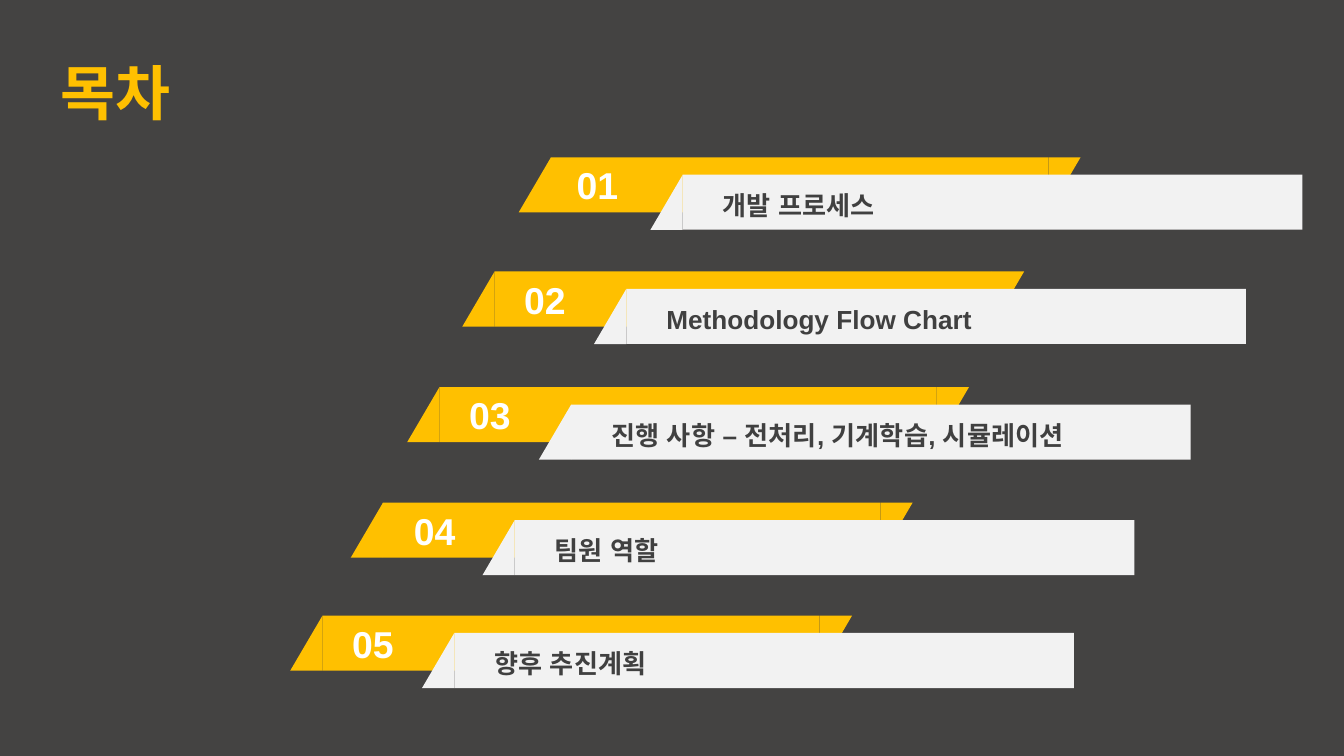
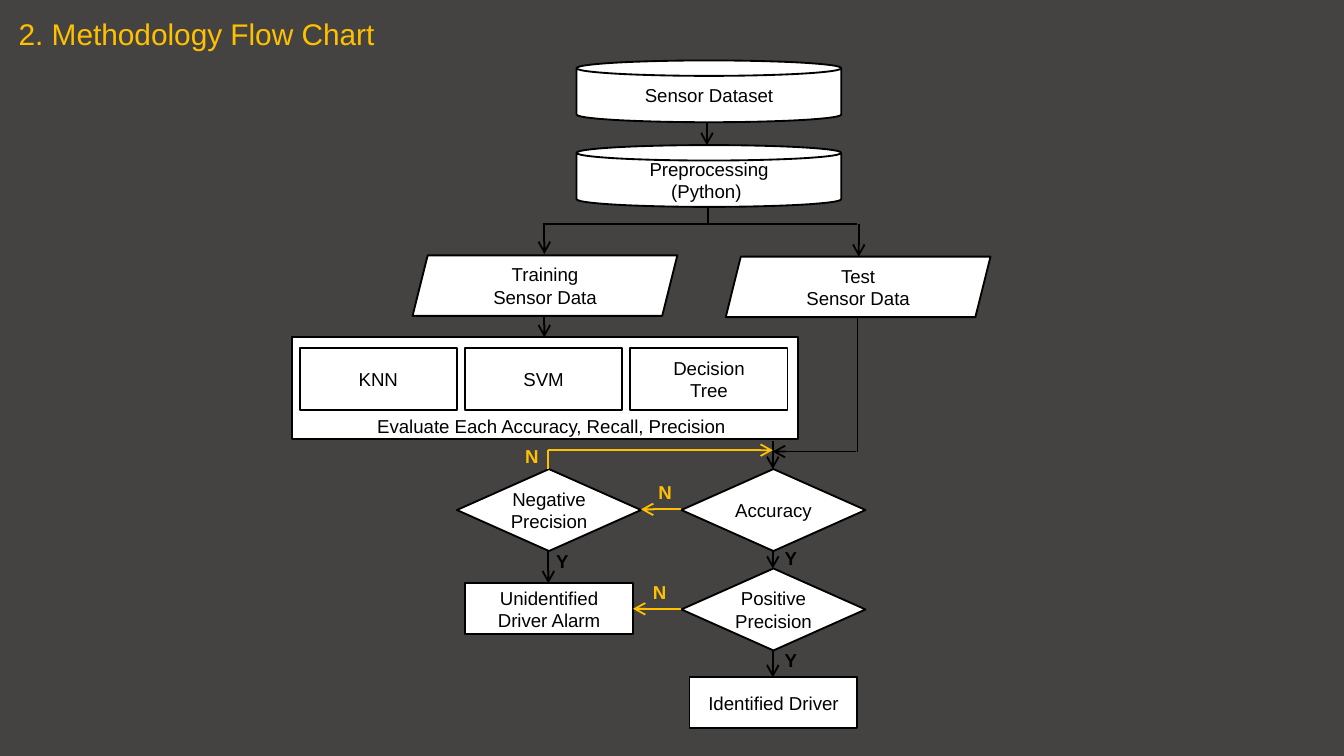
from lxml import etree
from pptx import Presentation
from pptx.dml.color import RGBColor
from pptx.enum import shapes, text
from pptx.oxml import ns
from pptx.util import Inches, Pt

DARK, GOLD, PALE, INK = "444342", "FFC000", "F2F2F2", "404040"
WHITE, BLACK = "FFFFFF", "000000"
FONT = "Arial"
SHAPE = shapes.MSO_SHAPE
MIDDLE = text.MSO_ANCHOR.MIDDLE
CENTER = text.PP_ALIGN.CENTER
LEFT = text.PP_ALIGN.LEFT

AGENDA = [
    ("01", "개발 프로세스", 4.1, 1.17, 4.11),
    ("02", "Methodology Flow Chart", 3.68, 2.02, 3.72),
    ("03", "진행 사항 – 전처리, 기계학습, 시뮬레이션", 3.27, 2.88, 3.31),
    ("04", "팀원 역할", 2.85, 3.74, 2.9),
    ("05", "향후 추진계획", 2.4, 4.58, 2.44),
]
RIBBON_HEIGHT, SLANT = 0.41, 0.24


def color(value):
    """Turn a hex string into a colour."""
    return RGBColor.from_string(value)


def apply(target, formats):
    """Set each format value on the target."""
    for name, value in formats.items():
        setattr(target, name, value)


def inches(values):
    """Convert numbers to lengths."""
    return [Inches(value) for value in values]


def within(origin, left, top, *size):
    """Place a point or box relative to an origin."""
    return (origin[0] + left, origin[1] + top, *size)


def write(frame, lines, size, ink, bold=False, align=CENTER):
    """Fill a text frame with one paragraph per line."""
    for index, line in enumerate(lines):
        paragraph = frame.paragraphs[0] if index == 0 else frame.add_paragraph()
        paragraph.alignment = align
        run = paragraph.add_run()
        run.text = line
        apply(run.font, {"name": FONT, "size": Pt(size), "bold": bold})
        run.font.color.rgb = color(ink)
        etree.SubElement(run.font._element, ns.qn("a:ea"), typeface=FONT)


def label(slide, box, words, size, ink, bold=False, align=LEFT, **frame_formats):
    """Add a line of free-standing text."""
    frame = slide.shapes.add_textbox(*inches(box)).text_frame
    apply(frame, {"word_wrap": True, **frame_formats})
    write(frame, [words], size, ink, bold, align)


def block(parent, kind, box, fill, outline=None):
    """Add a plain filled shape."""
    shape = parent.shapes.add_shape(kind, *inches(box))
    shape.shadow.inherit = False
    shape.fill.solid()
    shape.fill.fore_color.rgb = color(fill)
    if outline:
        shape.line.color.rgb = color(outline)
        shape.line.width = Pt(1)
    else:
        shape.line.fill.background()
    return shape


def node(parent, kind, box, lines, inset=None):
    """Add a captioned step of the flow chart."""
    frame = block(parent, kind, box, WHITE, BLACK).text_frame
    apply(frame, {"vertical_anchor": MIDDLE, "word_wrap": True})
    if inset is not None:
        sides = ("left", "top", "right", "bottom")
        apply(frame, {f"margin_{side}": Inches(inset) for side in sides})
    write(frame, lines, 10, BLACK)


def link(slide, origin, start, end, ink=BLACK, arrow=True):
    """Join two points, with an arrowhead at the end if wanted."""
    ends = within(origin, *start) + within(origin, *end)
    connector = slide.shapes.add_connector(
        shapes.MSO_CONNECTOR.STRAIGHT, *inches(ends))
    connector.line.color.rgb = color(ink)
    connector.line.width = Pt(1)
    if arrow:
        etree.SubElement(connector.line._get_or_add_ln(), ns.qn("a:tailEnd"), type="arrow")
    etree.SubElement(connector._element.spPr, ns.qn("a:effectLst"))


def ribbon(slide, left, top, width, fill, slanted_end=False):
    """Group a bar with its slanted ends."""
    group = slide.shapes.add_group_shape()
    block(group, SHAPE.RECTANGLE, (left, top, width, RIBBON_HEIGHT), fill)
    overhang = (RIBBON_HEIGHT + SLANT) / 2
    tips = [(left - overhang, 270)]
    if slanted_end:
        tips.append((left + width + SLANT - overhang, 90))
    for tip_left, rotation in tips:
        box = (tip_left, top + (RIBBON_HEIGHT - SLANT) / 2, RIBBON_HEIGHT, SLANT)
        tip = block(group, SHAPE.ISOSCELES_TRIANGLE, box, fill)
        tip.adjustments[0] = 0
        tip.rotation = rotation


def agenda_row(slide, left, top, number, number_left, topic):
    """Draw one numbered entry of the contents."""
    ribbon(slide, left, top, 3.7, GOLD, slanted_end=True)
    ribbon(slide, left + 0.98, top + 0.13, 4.61, PALE)
    label(slide, (number_left, top - 0.01, 0.67, 0.44), number, 20, WHITE, True, CENTER)
    label(slide, (left + 1.18, top + 0.19, 4.06, 0.34), topic, 14, INK, True)


def data_stage(slide, origin):
    """Draw the dataset, its preprocessing and the split."""
    steps = [
        (SHAPE.CAN, 1.22, 0, 0.46, ["Sensor Dataset"]),
        (SHAPE.CAN, 1.22, 0.63, 0.46, ["Preprocessing", "(Python) "]),
        (SHAPE.PARALLELOGRAM, 0, 1.45, 0.45, ["Training", "Sensor Data"]),
        (SHAPE.PARALLELOGRAM, 2.33, 1.46, 0.45, ["Test", "Sensor Data"]),
    ]
    for kind, left, top, height, lines in steps:
        node(slide, kind, within(origin, left, top, 1.97, height), lines)
    for start, end, arrow in [
        ((2.19, 0.46), (2.19, 0.63), True),
        ((2.2, 1.09), (2.2, 1.21), False),
        ((0.97, 1.22), (3.31, 1.22), False),
        ((0.98, 1.22), (0.98, 1.44), True),
        ((3.32, 1.22), (3.32, 1.46), True),
        ((0.98, 1.9), (0.98, 2.06), True),
        ((3.31, 1.91), (3.31, 2.91), False),
    ]:
        link(slide, origin, start, end, arrow=arrow)


def model_panel(slide, origin):
    """Draw the panel of evaluated models."""
    panel = slide.shapes.add_group_shape()
    block(panel, SHAPE.RECTANGLE, within(origin, 0, 0, 3.77, 0.76), WHITE, BLACK)
    for column, lines in enumerate([["KNN"], ["SVM"], ["Decision", "Tree"]]):
        box = within(origin, 0.06 + 1.23 * column, 0.08, 1.17, 0.46)
        node(panel, SHAPE.RECTANGLE, box, lines)
    label(panel, within(origin, 0.4, 0.53, 3.1, 0.44),
          "Evaluate Each Accuracy, Recall, Precision ", 10, BLACK,
          align=CENTER, word_wrap=False)


def decision_stage(slide, origin):
    """Draw the checks, their outcomes and the branches."""
    for left, top, lines, inset in [
        (1.67, 0.21, ["Accuracy"], 0.02),
        (0, 0.21, ["Negative", "Precision"], 0),
        (1.67, 0.95, ["Positive", "Precision"], 0.02),
    ]:
        node(slide, SHAPE.DIAMOND, within(origin, left, top, 1.37, 0.61), lines, inset)
    for left, top, lines in [
        (0.06, 1.06, ["Unidentified", "Driver Alarm"]),
        (1.73, 1.76, ["Identified Driver"]),
    ]:
        node(slide, SHAPE.RECTANGLE, within(origin, left, top, 1.25, 0.38), lines)
    for start, end, ink, arrow in [
        ((2.35, 0), (2.35, 0.21), BLACK, True),
        ((2.97, 0.08), (2.35, 0.08), BLACK, True),
        ((0.68, 0.07), (0.68, 0.21), GOLD, False),
        ((0.68, 0.07), (2.35, 0.07), GOLD, True),
        ((0.68, 0.81), (0.68, 1.06), BLACK, True),
        ((2.35, 0.81), (2.35, 0.95), BLACK, True),
        ((1.67, 0.51), (1.37, 0.51), GOLD, True),
        ((1.67, 1.25), (1.31, 1.25), GOLD, True),
        ((2.35, 1.56), (2.35, 1.76), BLACK, True),
    ]:
        link(slide, origin, start, end, ink, arrow)
    answers = {
        ("Y", BLACK): [(2.34, 1.5), (2.34, 0.74), (0.64, 0.76)],
        ("N", GOLD): [(1.36, 0.99), (1.4, 0.25), (0.41, -0.02)],
    }
    for (answer, ink), places in answers.items():
        for place in places:
            label(slide, within(origin, *place, 0.3, 0.27), answer, 10, ink,
                  True, word_wrap=False)


def new_slide(deck):
    """Add a blank slide with the dark background."""
    slide = deck.slides.add_slide(deck.slide_layouts[6])
    slide.background.fill.solid()
    slide.background.fill.fore_color.rgb = color(DARK)
    return slide


def contents_slide(deck):
    """Build the contents slide."""
    slide = new_slide(deck)
    label(slide, (0.35, 0.37, 6.06, 0.63), "목차", 32, GOLD, True,
          vertical_anchor=MIDDLE)
    for number, topic, left, top, number_left in AGENDA:
        agenda_row(slide, left, top, number, number_left, topic)


def flow_slide(deck):
    """Build the flow chart slide."""
    slide = new_slide(deck)
    label(slide, (0.04, 0.07, 3.39, 0.37), "2. Methodology Flow Chart", 16, GOLD)
    data_stage(slide, (3.07, 0.45))
    model_panel(slide, (2.17, 2.51))
    decision_stage(slide, (3.4, 3.28))


def main():
    """Build and save the deck."""
    deck = Presentation()
    width = Inches(10)
    apply(deck, {"slide_width": width, "slide_height": width * 9 // 16})
    contents_slide(deck)
    flow_slide(deck)
    deck.save("out.pptx")


if __name__ == "__main__":
    main()
